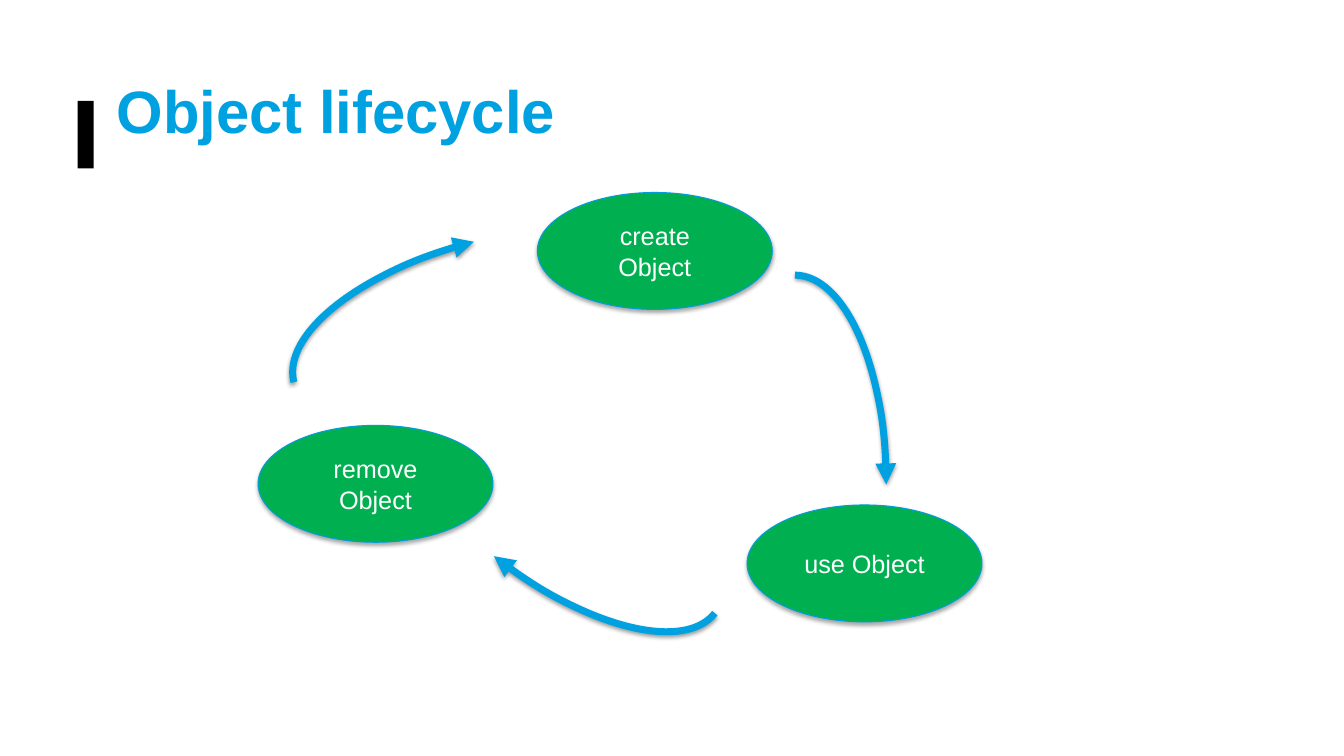
"""Build the object lifecycle slide."""
from dataclasses import dataclass

from lxml.etree import SubElement
from pptx import Presentation
from pptx.dml.color import RGBColor
from pptx.enum.shapes import MSO_SHAPE as Preset
from pptx.enum.text import MSO_ANCHOR as Anchor, PP_ALIGN as Align
from pptx.oxml.ns import qn
from pptx.shapes.autoshape import Shape
from pptx.slide import Slide
from pptx.text.text import TextFrame
from pptx.util import Inches, Pt

BLACK = RGBColor(0x00, 0x00, 0x00)
WHITE = RGBColor(0xFF, 0xFF, 0xFF)
BLUE = RGBColor(0x00, 0xA1, 0xE1)
OUTLINE = RGBColor(0x00, 0x9D, 0xDC)
GREEN = RGBColor(0x00, 0xB0, 0x50)
FONT = "Arial"
STAGE_SIZE = Inches(2.33), Inches(1.16)
ARROW_SIZE = Inches(1.81), Inches(4.15)


@dataclass(frozen=True)
class Stage:
    label: str
    left: float
    top: float


@dataclass(frozen=True)
class Arrow:
    left: float
    top: float
    rotation: float


STAGES = (
    Stage("create Object", 5.33, 1.91),
    Stage("use Object", 7.41, 5.01),
    Stage("remove Object", 2.56, 4.22),
)
ARROWS = (
    Arrow(6.98, 2.73, 0),
    Arrow(4.55, 2.73, 128),
    Arrow(4.02, 1.2, 255.6),
)


def write_text(frame: TextFrame, text: str, size: float, color: RGBColor,
               align: Align, bold: bool = False) -> None:
    frame.word_wrap = True
    frame.vertical_anchor = Anchor.MIDDLE
    para = frame.paragraphs[0]
    para.text = text
    para.alignment = align
    font = para.runs[0].font
    font.name, font.size, font.bold = FONT, Pt(size), bold
    font.color.rgb = color


def set_line(shape: Shape, color: RGBColor, width: float) -> None:
    shape.line.color.rgb = color
    shape.line.width = Pt(width)


def add_shadow(shape: Shape, opacity: int, distance: float) -> None:
    shape.shadow.inherit = False
    effects = shape.element.spPr.find(qn("a:effectLst"))
    shadow = SubElement(effects, qn("a:outerShdw"), blurRad=str(Pt(3.1)),
                        dist=str(Pt(distance)), dir=str(90 * 60000),
                        rotWithShape="0")
    color = SubElement(shadow, qn("a:srgbClr"), val=str(BLACK))
    SubElement(color, qn("a:alpha"), val=str(opacity * 1000))


def add_title(page: Slide) -> None:
    bar = page.shapes.add_shape(Preset.RECTANGLE, Inches(0.77), Inches(1),
                                Inches(0.16), Inches(0.67))
    bar.shadow.inherit = False
    bar.fill.solid()
    bar.fill.fore_color.rgb = BLACK
    bar.line.fill.background()
    box = page.shapes.add_textbox(Inches(1.06), Inches(0.36),
                                  Inches(10.85), Inches(1.45))
    write_text(box.text_frame, "Object lifecycle", 42.7, BLUE, Align.LEFT, True)


def add_stage(page: Slide, stage: Stage) -> None:
    oval = page.shapes.add_shape(Preset.OVAL, Inches(stage.left),
                                 Inches(stage.top), *STAGE_SIZE)
    oval.fill.solid()
    oval.fill.fore_color.rgb = GREEN
    set_line(oval, OUTLINE, 0.75)
    add_shadow(oval, 35, 1.8)
    write_text(oval.text_frame, stage.label, 18, WHITE, Align.CENTER)


def add_arrow(page: Slide, arrow: Arrow) -> None:
    arc = page.shapes.add_shape(Preset.ARC, Inches(arrow.left),
                                Inches(arrow.top), *ARROW_SIZE)
    arc.rotation = arrow.rotation
    arc.fill.background()
    set_line(arc, BLUE, 5)
    SubElement(arc.element.spPr.find(qn("a:ln")), qn("a:tailEnd"),
               type="triangle")
    add_shadow(arc, 38, 1.6)


def main() -> None:
    deck = Presentation()
    deck.slide_width, deck.slide_height = Inches(13.33), Inches(7.5)
    page = deck.slides.add_slide(deck.slide_layouts[6])
    add_title(page)
    for stage in STAGES:
        add_stage(page, stage)
    for arrow in ARROWS:
        add_arrow(page, arrow)
    deck.save("out.pptx")


if __name__ == "__main__":
    main()
